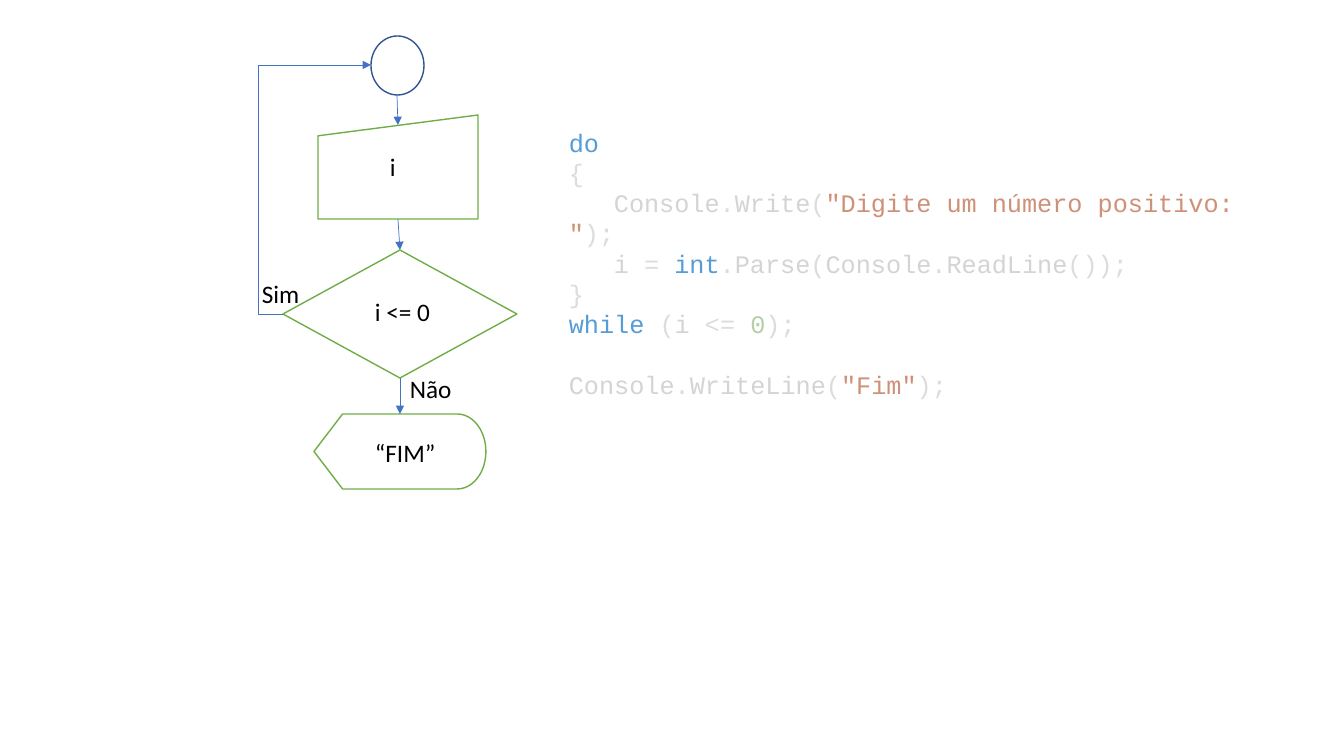
from lxml import etree
from pptx import Presentation
from pptx import util as u
from pptx.dml.color import RGBColor
from pptx.enum import shapes, text
from pptx.oxml.ns import qn

SCALE = 914400 / 100.8
BLACK = RGBColor(0, 0, 0)
WHITE = RGBColor(255, 255, 255)
GREEN = RGBColor(0x70, 0xAD, 0x47)
NAVY = RGBColor(0x32, 0x54, 0x91)
BLUE = RGBColor(0x44, 0x72, 0xC4)
KEY = RGBColor(0x56, 0x9C, 0xD6)
NAME = RGBColor(0xD4, 0xD4, 0xD4)
MARK = RGBColor(0xDC, 0xDC, 0xDC)
QUOTE = RGBColor(0xCE, 0x91, 0x78)
DIGIT = RGBColor(0xB5, 0xCE, 0xA8)
SIZE = u.Pt(18)
PITCH = u.Pt(21.6)
INDENT = 45

CODE = [
    (0, 0, [("do", KEY)]),
    (0, 0, [("{", MARK)]),
    (INDENT, 0, [("Console", NAME), (".", MARK), ("Write", NAME), ("(", MARK),
                 ('"Digite um número positivo: "', QUOTE), (");", MARK)]),
    (INDENT, 0, [("i ", NAME), ("= ", MARK), ("int", KEY), (".", MARK),
                 ("Parse", NAME), ("(", MARK), ("Console", NAME), (".", MARK),
                 ("ReadLine", NAME), ("());", MARK)]),
    (0, 0, [("}", MARK)]),
    (0, 0, [("while ", KEY), ("(", MARK), ("i ", NAME), ("<= ", MARK),
            ("0", DIGIT), (");", MARK)]),
    (0, PITCH, [("Console", NAME), (".", MARK), ("WriteLine", NAME),
                ("(", MARK), ('"Fim"', QUOTE), (");", MARK)]),
]


def px(*vals):
    """Turn pixels into a list of EMU lengths."""
    return [u.Emu(round(v * SCALE)) for v in vals]


def node(slide, kind, box, color, filled=True):
    """Add one outlined flowchart symbol."""
    shape = slide.shapes.add_shape(kind, *px(*box))
    shape.shadow.inherit = False
    if filled:
        shape.fill.solid()
        shape.fill.fore_color.rgb = WHITE
    else:
        shape.fill.background()
    shape.line.color.rgb = color
    shape.line.width = u.Pt(1)


def arrow(slide, ends, bend=None):
    """Add an arrow, bent at a share of its width when bend is given."""
    kinds = shapes.MSO_CONNECTOR
    kind = kinds.STRAIGHT if bend is None else kinds.ELBOW
    link = slide.shapes.add_connector(kind, *px(*ends))
    link.line.color.rgb = BLUE
    link.line.width = u.Pt(0.5)
    prop = link._element.spPr
    etree.SubElement(prop.find(qn("a:ln")), qn("a:tailEnd"), type="triangle")
    etree.SubElement(prop, qn("a:effectLst"))
    if bend is not None:
        guides = prop.find(qn("a:prstGeom")).find(qn("a:avLst"))
        etree.SubElement(guides, qn("a:gd"), name="adj1",
                         fmla=f"val {round(bend * 100000)}")


def style(run, face, color):
    """Set the font of a run."""
    run.font.name = face
    run.font.size = SIZE
    run.font.color.rgb = color


def frame(slide, box):
    """Add a wrapping text box and return its frame."""
    body = slide.shapes.add_textbox(*px(*box)).text_frame
    body.word_wrap = True
    body.vertical_anchor = text.MSO_ANCHOR.TOP
    return body


def label(slide, words, box):
    """Add a short flowchart label."""
    body = frame(slide, box)
    body.text = words
    style(body.paragraphs[0].runs[0], "Calibri", BLACK)


def listing(slide, box):
    """Add the coloured code listing."""
    body = frame(slide, box)
    for i, (indent, gap, parts) in enumerate(CODE):
        para = body.add_paragraph() if i else body.paragraphs[0]
        para.line_spacing = PITCH
        para.space_before = u.Emu(gap)
        para._p.get_or_add_pPr().set("indent", str(px(indent)[0]))
        for words, color in parts:
            run = para.add_run()
            run.text = words
            style(run, "Courier New", color)


def main():
    """Build the do-while slide."""
    deck = Presentation()
    deck.slide_width, deck.slide_height = px(1344, 756)
    slide = deck.slides.add_slide(deck.slide_layouts[6])
    kinds = shapes.MSO_SHAPE
    node(slide, kinds.FLOWCHART_CONNECTOR, (371, 36, 53, 59), NAVY, False)
    for kind, box in [
        (kinds.FLOWCHART_MANUAL_INPUT, (318, 115, 160, 104)),
        (kinds.FLOWCHART_DECISION, (283, 250, 234, 128)),
        (kinds.FLOWCHART_DISPLAY, (314, 414, 172, 75)),
    ]:
        node(slide, kind, box, GREEN)
    for ends in [(397, 95, 398, 125), (398, 219, 400, 250),
                 (400, 378, 400, 414)]:
        arrow(slide, ends)
    arrow(slide, (283, 314, 371, 65), -0.28)
    for words, box in [
        ("Não", (400, 368, 78, 40)),
        ("Sim", (252, 273, 80, 40)),
        ("i", (380, 146, 62, 40)),
        ("i <= 0", (365, 291, 86, 40)),
        ("“FIM”", (365, 432, 94, 40)),
    ]:
        label(slide, words, box)
    listing(slide, (559, 122, 733, 316))
    deck.save("out.pptx")


main()
